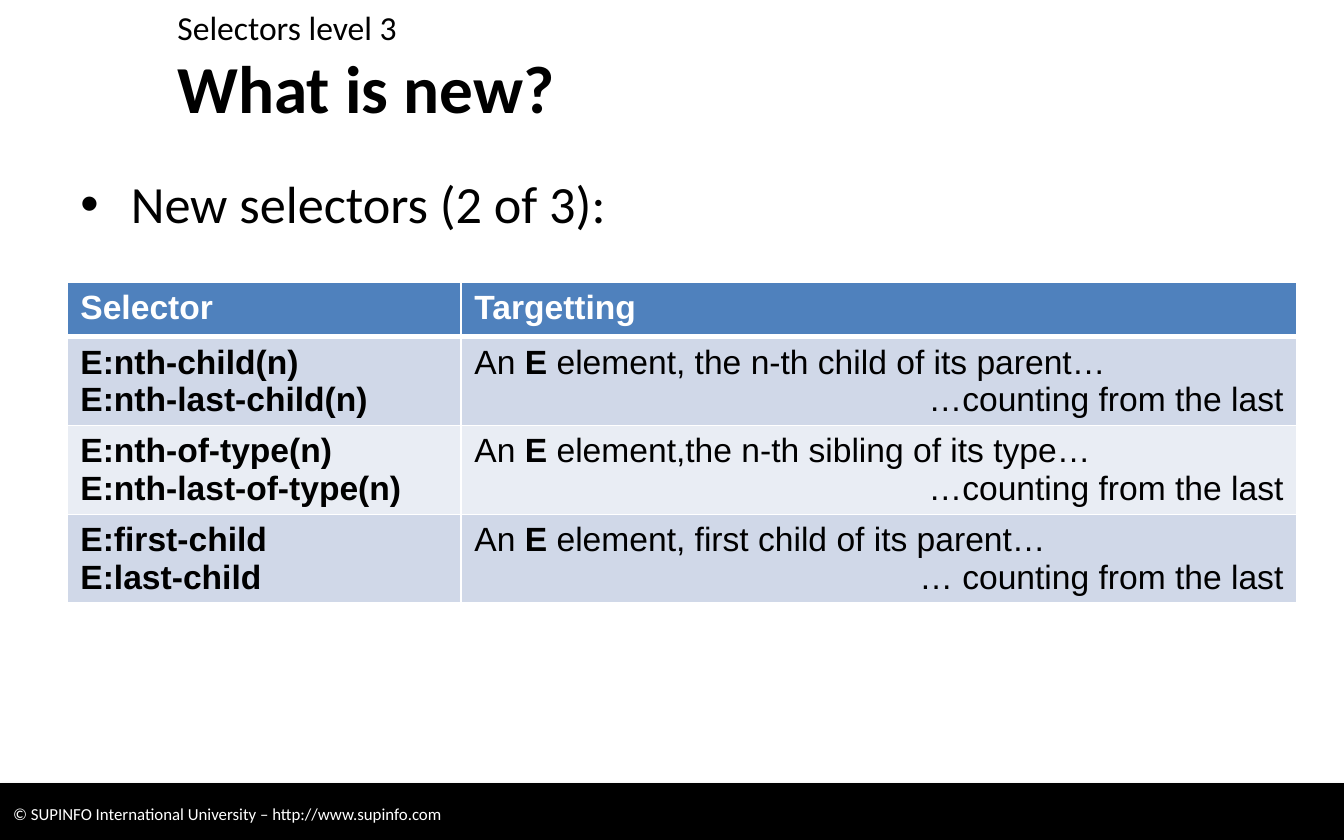
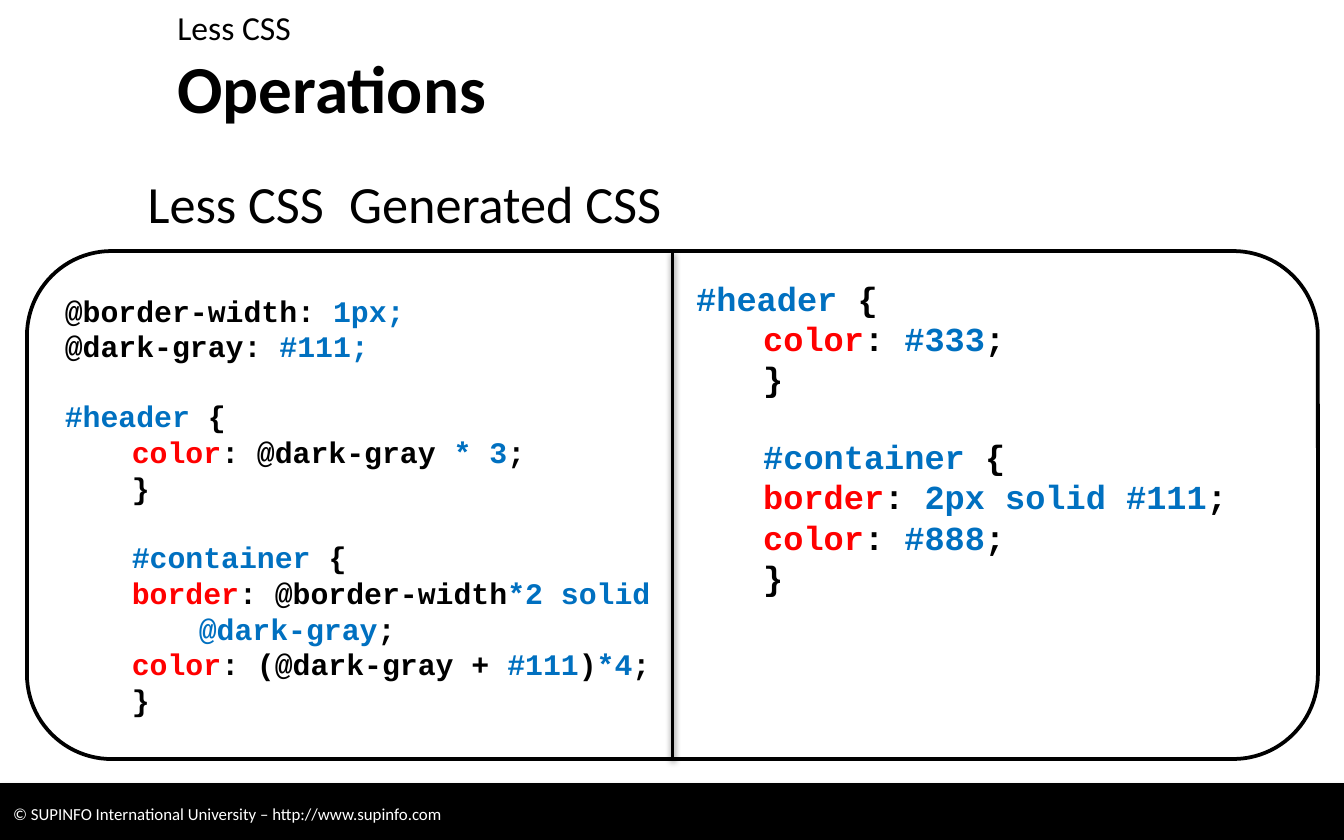
"""Build two slides on CSS selectors and Less CSS operations."""
from lxml.etree import SubElement
from pptx import Presentation
from pptx.dml.color import RGBColor
from pptx.enum.shapes import MSO_CONNECTOR, MSO_SHAPE
from pptx.enum.text import MSO_ANCHOR, MSO_AUTO_SIZE, PP_ALIGN
from pptx.oxml.ns import qn
from pptx.util import Pt

WIDTH, HEIGHT = 1344, 840
SCALE = 9144000 / WIDTH
INK, WHITE, HEAD = "000000", "FFFFFF", "4F81BD"
STRIPES = ["D0D8E8", "E9EDF4"]
BLUE, RED, BOLD = {"color": "0070C0"}, {"color": "FF0000"}, {"bold": True}
STEP = 67

FOOTER = "© SUPINFO International University – http://www.supinfo.com"
NEWS = ("Selectors level 3", "What is new?", "New selectors (2 of 3):")
LESS = ("Less CSS", "Operations", "\tLess CSS\tGenerated CSS")
TABS = [68, 810]

HEADS = ["Selector", "Targetting"]
ROWS = [
    ("E:nth-child(n)\nE:nth-last-child(n)",
     ["An ", ("E ", BOLD), "element, the n-th child of its parent…"],
     "…counting from the last"),
    ("E:nth-of-type(n)\nE:nth-last-of-type(n)",
     ["An ", ("E ", BOLD), "element,the n-th sibling of its type…"],
     "…counting from the last"),
    ("E:first-child\nE:last-child",
     ["An ", ("E", BOLD), " element, first child of its parent…"],
     "… counting from the last"),
]
COLS, TALL = [394, 836], [55, 88, 88, 88]

# Each line of code: level, whether a gap comes before it, runs.
SOURCE = [
    (0, False, ["@border-width:", (" 1px;", BLUE)]),
    (0, False, ["@dark-gray:", (" #111;", BLUE)]),
    (0, True, [("#header ", BLUE), "{"]),
    (1, False, [("color", RED), ": @dark-gray", (" * 3", BLUE), ";"]),
    (1, False, ["}"]),
    (1, True, [("#container", BLUE), " {"]),
    (1, False, [("border", RED), ": @border-width", ("*2 solid", BLUE)]),
    (2, False, [("@dark-gray", BLUE), ";"]),
    (1, False, [("color", RED), ": (@dark-gray +", (" #111", BLUE), ")",
                ("*4", BLUE), ";"]),
    (1, False, ["}"]),
]
RESULT = [
    (0, False, [("#header", BLUE), " {"]),
    (1, False, [("color", RED), ": ", ("#333", BLUE), ";"]),
    (1, False, ["}"]),
    (1, True, [("#container", BLUE), " {"]),
    (1, False, [("border", RED), ": ", ("2px solid #111", BLUE), "; ",
                ("color", RED), ": ", ("#888", BLUE), ";"]),
    (1, False, ["}"]),
]


def px(n):
    return round(n * SCALE)


def rgb(code):
    return RGBColor.from_string(code)


def write(frame, text, size=18, font="Calibri", color=INK, bold=False,
          align=PP_ALIGN.LEFT, level=0, gap=0, bullet=False, tabs=()):
    para = frame.paragraphs[0]
    if para.runs:
        para = frame.add_paragraph()
    para.alignment, para.level, para.space_before = align, level, Pt(gap)
    props = para._p.get_or_add_pPr()
    if not bullet:
        props.set("marL", str(px(level * STEP)))
        props.set("indent", "0")
        SubElement(props, qn("a:buNone"))
    if tabs:
        stops = SubElement(props, qn("a:tabLst"))
        for stop in tabs:
            SubElement(stops, qn("a:tab"), pos=str(px(stop)), algn="l")
    for part in [text] if isinstance(text, str) else text:
        words, style = (part, {}) if isinstance(part, str) else part
        look = {"color": color, "bold": bold, **style}
        for i, piece in enumerate(words.split("\n")):
            if i:
                para.add_line_break()
            run = para.add_run()
            run.text = piece
            run.font.size, run.font.name = Pt(size), font
            run.font.bold = look["bold"]
            run.font.color.rgb = rgb(look["color"])


def place(shape, *box):
    shape.left, shape.top, shape.width, shape.height = map(px, box)
    shape.text_frame.auto_size = MSO_AUTO_SIZE.NONE
    return shape.text_frame


def shade(shape, blur, dist, alpha):
    effects = SubElement(shape.element.spPr, qn("a:effectLst"))
    cast = SubElement(effects, qn("a:outerShdw"), blurRad=str(Pt(blur)),
                      dist=str(Pt(dist)), dir="5400000", rotWithShape="0")
    tint = SubElement(cast, qn("a:srgbClr"), val=INK)
    SubElement(tint, qn("a:alpha"), val=str(alpha * 1000))


def block(slide, kind, box, fill, line):
    shape = slide.shapes.add_shape(kind, *map(px, box))
    shape.fill.solid()
    shape.fill.fore_color.rgb = rgb(fill)
    shape.line.color.rgb, shape.line.width = rgb(INK), Pt(line)
    shape.text_frame.vertical_anchor = MSO_ANCHOR.MIDDLE
    return shape


def band(deck, slide):
    bar = block(slide, MSO_SHAPE.RECTANGLE, (0, 784, WIDTH, 60), INK, 0.75)
    shade(bar, 3.1, 1.8, 35)
    write(bar.text_frame, FOOTER, size=9, color=WHITE)
    bar.element.nvSpPr.cNvPr.set("id", "99")
    deck.slide_master.shapes.element.append(bar.element)


def start(deck, words, **form):
    slide = deck.slides.add_slide(deck.slide_layouts[3])
    topic, title, lead = words
    title_box, body, kicker = slide.placeholders
    frame = place(title_box, 164, 50, 1142, 74)
    frame.vertical_anchor = MSO_ANCHOR.MIDDLE
    write(frame, title, size=36, bold=True)
    write(place(body, 67, 165, 1240, 622), lead, size=28, **form)
    write(place(kicker, 164, 0, 1144, 50), topic)
    return slide


def paint(cell, fill, base):
    props = cell._tc.get_or_add_tcPr()
    for side in ("lnL", "lnR", "lnT", "lnB"):
        wide = Pt(base if side == "lnB" else 1)
        edge = SubElement(props, qn("a:" + side), w=str(wide))
        SubElement(SubElement(edge, qn("a:solidFill")),
                   qn("a:srgbClr"), val=WHITE)
    cell.fill.solid()
    cell.fill.fore_color.rgb = rgb(fill)


def grid(slide):
    table = slide.shapes.add_table(
        len(TALL), len(COLS), *map(px, (67, 282, sum(COLS), sum(TALL)))).table
    for col, wide in zip(table.columns, COLS):
        col.width = px(wide)
    for row, tall in zip(table.rows, TALL):
        row.height = px(tall)
    for cell, head in zip(table.rows[0].cells, HEADS):
        paint(cell, HEAD, 3)
        write(cell.text_frame, head, font="Arial", color=WHITE, bold=True)
    for i, (name, first, last) in enumerate(ROWS):
        left, right = table.rows[i + 1].cells
        for cell in (left, right):
            paint(cell, STRIPES[i % 2], 1)
        write(left.text_frame, name, font="Arial", bold=True)
        write(right.text_frame, first, font="Arial")
        write(right.text_frame, last, font="Arial", align=PP_ALIGN.RIGHT)


def code(frame, lines, size):
    frame.word_wrap = True
    for level, gap, runs in lines:
        write(frame, runs, size=size, font="Courier New", bold=True,
              level=level, gap=round(size * 1.13) if gap else 0)


def panel(slide):
    box = block(slide, MSO_SHAPE.ROUNDED_RECTANGLE, (27, 251, 1291, 508),
                WHITE, 2)
    box.shadow.inherit = False
    code(box.text_frame, SOURCE, 16)
    rule = slide.shapes.add_connector(MSO_CONNECTOR.STRAIGHT, 0, 0, 0, 0)
    rule.begin_connect(box, 0)
    rule.end_connect(box, 2)
    rule.line.color.rgb, rule.line.width = rgb(INK), Pt(2)
    shade(rule, 3.1, 1.6, 38)
    note = slide.shapes.add_textbox(*map(px, (683, 271, 593, 339)))
    code(note.text_frame, RESULT, 18)
    note.text_frame.auto_size = MSO_AUTO_SIZE.SHAPE_TO_FIT_TEXT


def main():
    deck = Presentation()
    deck.slide_width, deck.slide_height = px(WIDTH), px(HEIGHT)
    news = start(deck, NEWS, bullet=True)
    band(deck, news)
    grid(news)
    panel(start(deck, LESS, tabs=TABS))
    deck.save("out.pptx")


if __name__ == "__main__":
    main()
